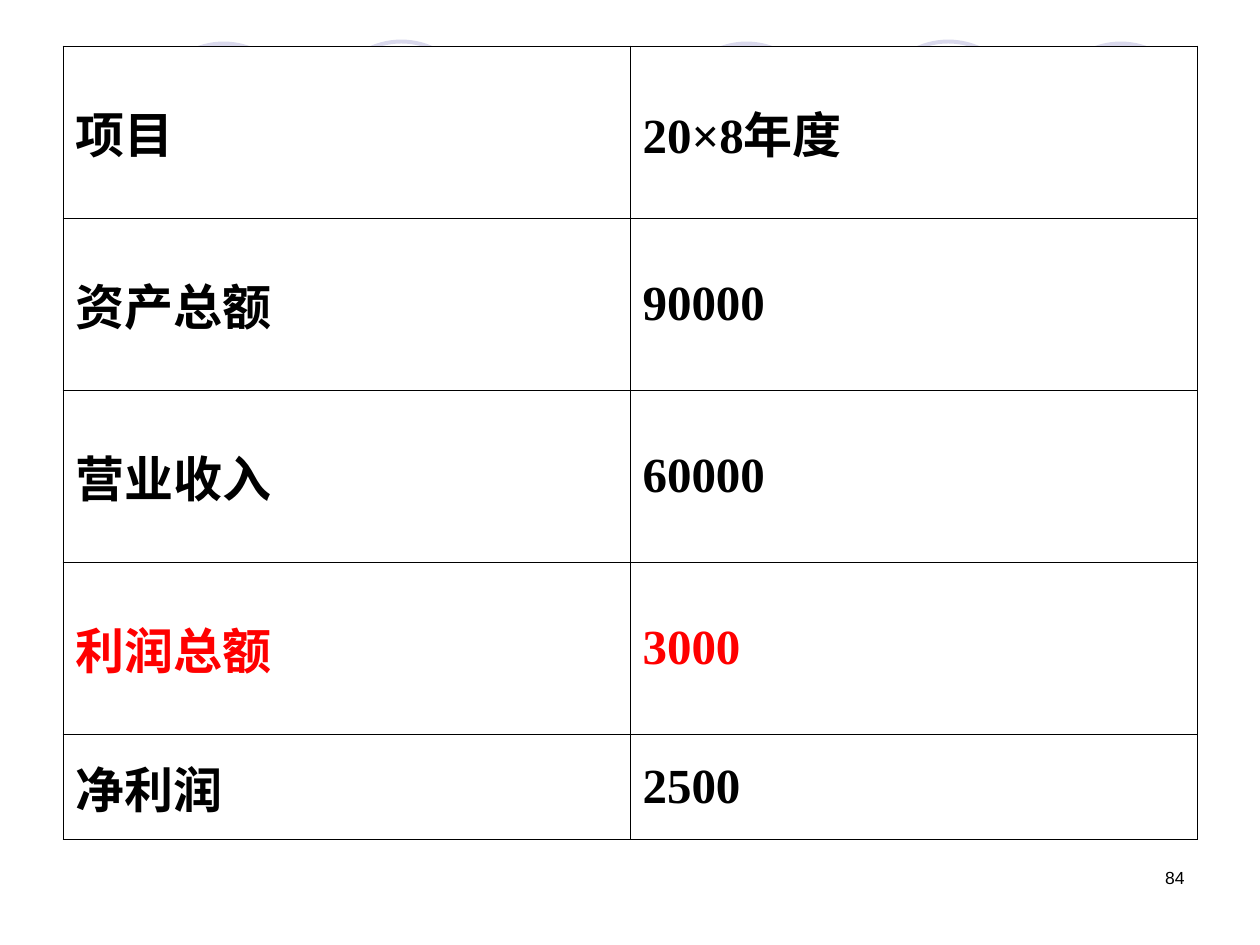
from dataclasses import dataclass

import lxml.etree
import pptx
import pptx.dml.color
import pptx.enum.shapes
import pptx.enum.text
import pptx.oxml.ns
import pptx.util

COLUMNS, ROWS = 100, 75
SLIDE_WIDTH, SLIDE_HEIGHT = pptx.util.Inches(10), pptx.util.Inches(7.5)


@dataclass(frozen=True)
class Theme:
    ink: str = "000000"
    accent: str = "FF0000"
    paper: str = "FFFFFF"
    circle: str = "D9D8EC"
    han_font: str = "Noto Sans CJK SC"
    figure_font: str = "Times New Roman"
    number_font: str = "Arial"
    table_size: float = 28
    number_size: float = 10
    border_width: float = 0.45
    circle_width: float = 2.25


@dataclass(frozen=True)
class Box:
    left: float
    top: float
    width: float
    height: float

    def place(self):
        return (across(self.left), down(self.top),
                across(self.width), down(self.height))


THEME = Theme()
HEADINGS = ("项目", ("20×8", "年度"))
FIGURES = {"资产总额": 90000, "营业收入": 60000, "利润总额": 3000, "净利润": 2500}
HIGHLIGHT = "利润总额"
ROW_SHARES = (13, 13, 13, 13, 8)
FILLED_CIRCLES = (41.5, 71.2, 0)
OUTLINED_CIRCLES = (57.5, 14.1)


def across(columns):
    return round(SLIDE_WIDTH * columns / COLUMNS)


def down(rows):
    return round(SLIDE_HEIGHT * rows / ROWS)


def rgb(code):
    return pptx.dml.color.RGBColor.from_string(code)


def add_text(paragraph, text, *, font, size, color=THEME.ink, bold=False, align=None):
    if align is not None:
        paragraph.alignment = align
    run = paragraph.add_run()
    run.text = text
    run.font.size = pptx.util.Pt(size)
    run.font.bold = bold
    run.font.color.rgb = rgb(color)
    run.font.name = font
    properties = run.font._element
    east_asian = lxml.etree.SubElement(properties, pptx.oxml.ns.qn("a:ea"))
    east_asian.set("typeface", font)


def add_borders(cell):
    properties = cell._tc.get_or_add_tcPr()
    for index, side in enumerate(("a:lnL", "a:lnR", "a:lnT", "a:lnB")):
        border = lxml.etree.Element(pptx.oxml.ns.qn(side))
        border.set("w", str(pptx.util.Pt(THEME.border_width)))
        fill = lxml.etree.SubElement(border, pptx.oxml.ns.qn("a:solidFill"))
        lxml.etree.SubElement(fill, pptx.oxml.ns.qn("a:srgbClr")).set("val", THEME.ink)
        properties.insert(index, border)


def fill_cell(cell, parts, color):
    cell.fill.solid()
    cell.fill.fore_color.rgb = rgb(THEME.paper)
    cell.vertical_anchor = pptx.enum.text.MSO_ANCHOR.MIDDLE
    cell.margin_left = cell.margin_right = pptx.util.Inches(0.1)
    cell.margin_top = cell.margin_bottom = pptx.util.Inches(0.05)
    add_borders(cell)
    for part in parts:
        font = THEME.figure_font if part[0].isdigit() else THEME.han_font
        add_text(cell.text_frame.paragraphs[0], part, font=font,
                 size=THEME.table_size, color=color, bold=True,
                 align=pptx.enum.text.PP_ALIGN.JUSTIFY)


def draw_circles(slide, box):
    offsets = [(x, True) for x in FILLED_CIRCLES] + [(x, False) for x in OUTLINED_CIRCLES]
    for offset, filled in offsets:
        spot = Box(box.left + offset, box.top, box.height, box.height)
        circle = slide.shapes.add_shape(pptx.enum.shapes.MSO_SHAPE.OVAL, *spot.place())
        circle.shadow.inherit = False
        if filled:
            circle.fill.solid()
            circle.fill.fore_color.rgb = rgb(THEME.circle)
            circle.line.fill.background()
        else:
            circle.fill.background()
            circle.line.color.rgb = rgb(THEME.circle)
            circle.line.width = pptx.util.Pt(THEME.circle_width)


def draw_figures(slide, box):
    records = [((HEADINGS[0],), HEADINGS[1])]
    records += [((item,), (str(amount),)) for item, amount in FIGURES.items()]
    table = slide.shapes.add_table(len(records), len(HEADINGS), *box.place()).table
    table.first_row = table.horz_banding = False
    for column in table.columns:
        column.width = across(box.width / len(HEADINGS))
    for row, share, record in zip(table.rows, ROW_SHARES, records):
        row.height = down(box.height * share / sum(ROW_SHARES))
        color = THEME.accent if record[0][0] == HIGHLIGHT else THEME.ink
        for cell, parts in zip(row.cells, record):
            fill_cell(cell, parts, color)


def draw_page_number(slide, box):
    frame = slide.shapes.add_textbox(*box.place()).text_frame
    frame.word_wrap = True
    add_text(frame.paragraphs[0], "84", font=THEME.number_font,
             size=THEME.number_size, align=pptx.enum.text.PP_ALIGN.RIGHT)


def main():
    deck = pptx.Presentation()
    deck.slide_width, deck.slide_height = SLIDE_WIDTH, SLIDE_HEIGHT
    slide = deck.slides.add_slide(deck.slide_layouts[6])
    slide.background.fill.solid()
    slide.background.fill.fore_color.rgb = rgb(THEME.paper)
    draw_circles(slide, Box(11.7, 3.3, 83.3, 12.1))
    draw_page_number(slide, Box(71.7, 68.3, 23.3, 5))
    draw_figures(slide, Box(5, 3.65, 90, 63))
    deck.save("out.pptx")


if __name__ == "__main__":
    main()
